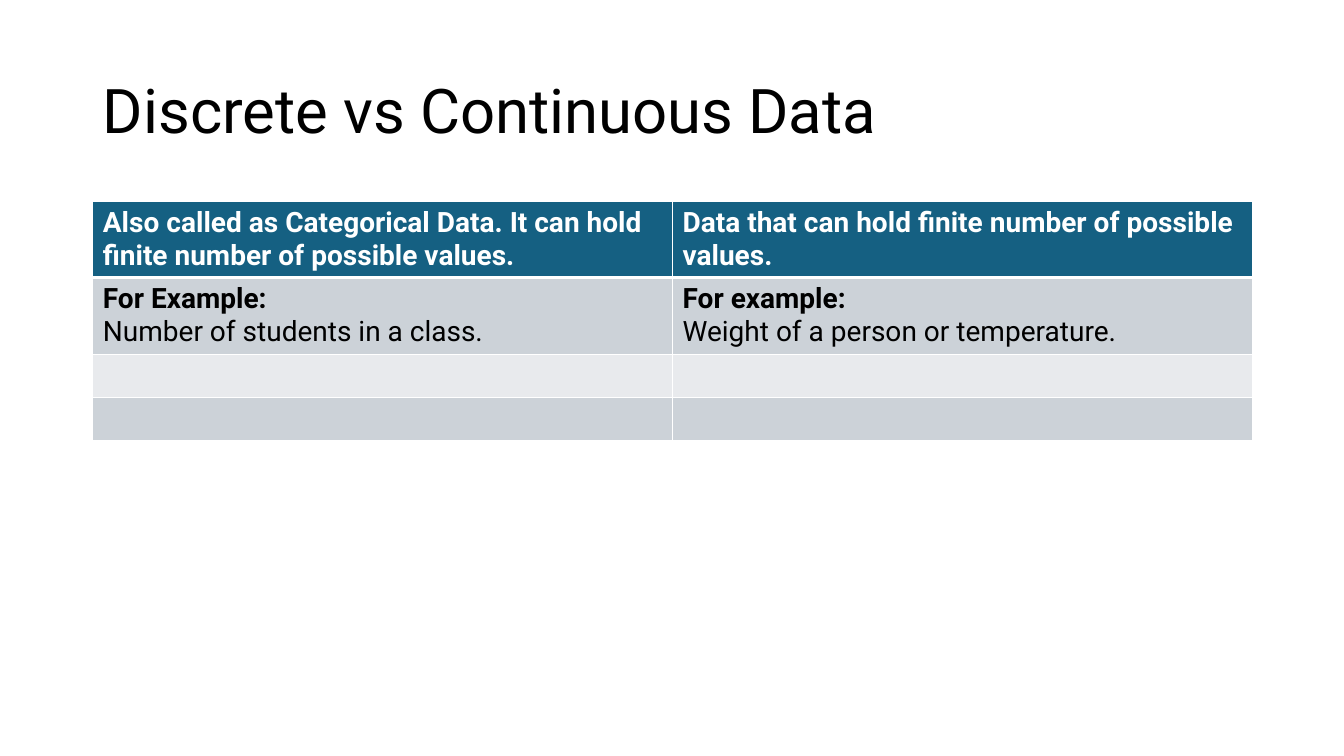
from pptx import Presentation
from pptx.dml.color import RGBColor
from pptx.enum.text import MSO_ANCHOR, MSO_AUTO_SIZE, PP_ALIGN
from pptx.oxml.ns import qn
from pptx.util import Inches, Pt
from lxml.etree import SubElement

FONT = "Roboto"
BLACK = RGBColor(0x00, 0x00, 0x00)
WHITE = RGBColor(0xFF, 0xFF, 0xFF)
TEAL = RGBColor(0x15, 0x60, 0x82)
GREY = RGBColor(0xCC, 0xD2, 0xD8)
PALE = RGBColor(0xE8, 0xEA, 0xED)

LEFT, WIDTH = 0.92, 11.5
HEIGHTS = [0.74, 0.76, 0.43, 0.43]
FILLS = [TEAL, GREY, PALE, GREY]
HEADS = [
    "Also called as Categorical Data. It can hold finite number of possible values.",
    "Data that can hold finite number of possible values.",
]
CASES = [
    ("For Example:", "Number of students in a class."),
    ("For example:", "Weight of a person or temperature."),
]


def write(para, text, size=20, color=BLACK, bold=False):
    para.alignment = PP_ALIGN.LEFT
    run = para.add_run()
    run.text = text
    font = run.font
    font.name, font.size, font.bold = FONT, Pt(size), bold
    font.color.rgb = color


def add_title(slide, text):
    title = slide.shapes.title
    title.left, title.top = Inches(LEFT), Inches(0.4)
    title.width, title.height = Inches(WIDTH), Inches(1.45)
    frame = title.text_frame
    frame.word_wrap = True
    frame.auto_size = MSO_AUTO_SIZE.NONE
    frame.vertical_anchor = MSO_ANCHOR.MIDDLE
    para = frame.paragraphs[0]
    para.line_spacing = 0.9
    write(para, text, size=44)


def add_edges(cell, top=1, bottom=1):
    """Draw white borders, with widths in points."""
    props = cell._tc.get_or_add_tcPr()
    for side, width in zip("LRTB", (1, 1, top, bottom)):
        line = SubElement(props, qn(f"a:ln{side}"), w=str(Pt(width)))
        fill = SubElement(line, qn("a:solidFill"))
        SubElement(fill, qn("a:srgbClr"), val=str(WHITE))


def add_grid(slide):
    frame = slide.shapes.add_table(
        len(HEIGHTS), len(HEADS), Inches(LEFT), Inches(2),
        Inches(WIDTH), Inches(sum(HEIGHTS)))
    table = frame.table
    for r, (height, fill) in enumerate(zip(HEIGHTS, FILLS)):
        table.rows[r].height = Inches(height)
        for cell in table.rows[r].cells:
            add_edges(cell, top=3 if r == 1 else 1, bottom=3 if r == 0 else 1)
            cell.fill.solid()
            cell.fill.fore_color.rgb = fill
    for c, (head, (label, case)) in enumerate(zip(HEADS, CASES)):
        write(table.cell(0, c).text_frame.paragraphs[0], head,
              color=WHITE, bold=True)
        body = table.cell(1, c).text_frame
        write(body.paragraphs[0], label, bold=True)
        write(body.add_paragraph(), case)


def main():
    deck = Presentation()
    deck.slide_width, deck.slide_height = Inches(13.33), Inches(7.5)
    slide = deck.slides.add_slide(deck.slide_layouts[5])
    add_title(slide, "Discrete vs Continuous Data")
    add_grid(slide)
    deck.save("out.pptx")


if __name__ == "__main__":
    main()
